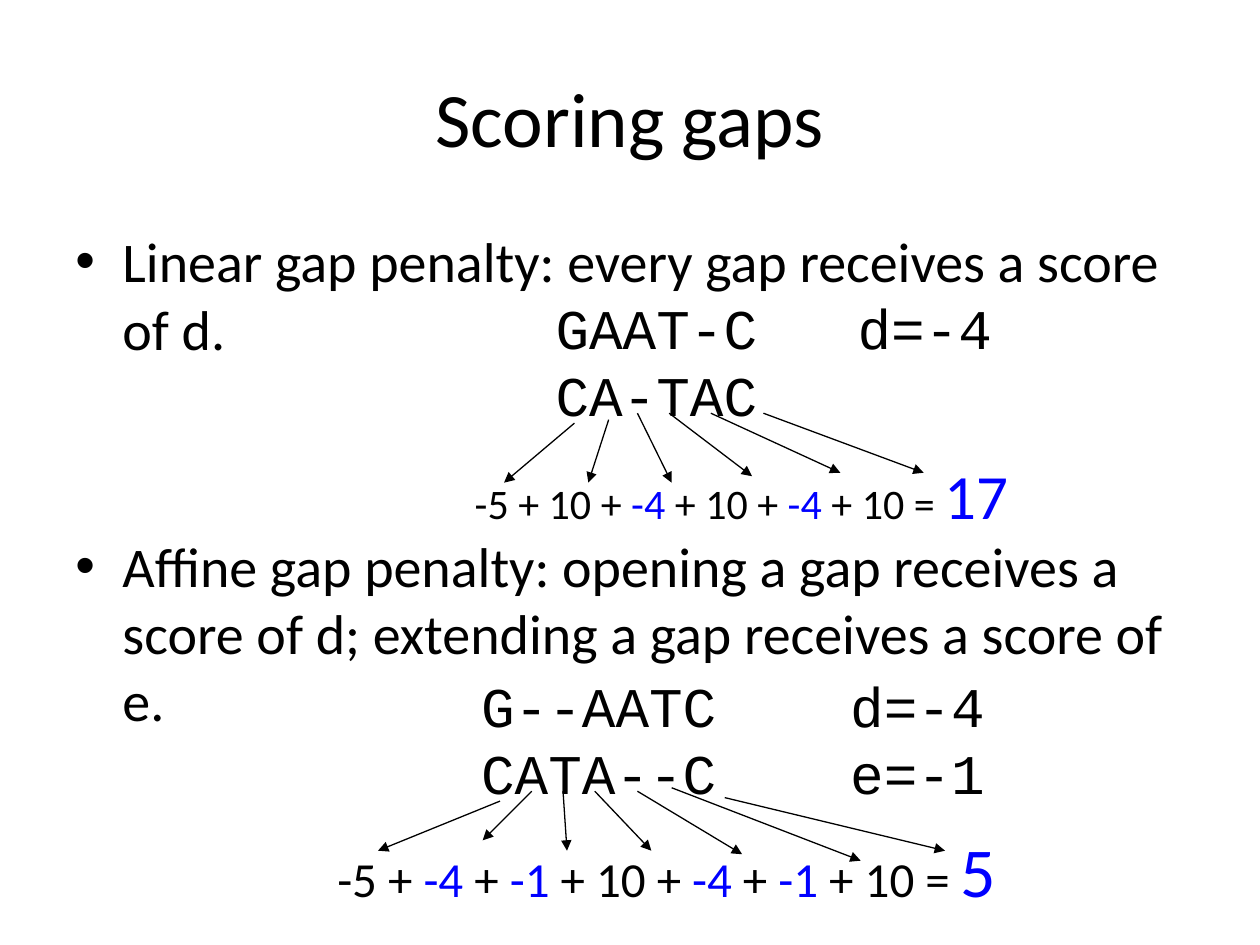
"""Builds a slide that scores alignments with linear and affine gap penalties."""
from lxml.etree import SubElement
from pptx import Presentation
from pptx.dml.color import RGBColor
from pptx.enum.shapes import MSO_CONNECTOR as Connector
from pptx.enum.text import MSO_ANCHOR as Anchor, PP_ALIGN as Align
from pptx.oxml.ns import qn
from pptx.util import Cm, Pt

COLORS = {"text": "000000", "highlight": "0000FF"}
BODY_FONT, SEQUENCE_FONT = "Calibri", "Courier New"
GAP_SCORES = ("-4", "-1")

BULLETS = (
    ("Linear gap penalty: every gap receives a score of d.", 0),
    ("Affine gap penalty: opening a gap receives a score of d; "
     "extending a gap receives a score of e.", 97),
)

EXAMPLES = (
    {
        "sequences": (10.95, 5.79, 5.5, ("GAAT-C", "CA-TAC")),
        "penalties": (17.04, 5.79, 3.5, ("d=-4",)),
        "sum": (9.32, 9.07, 12.78, 1.78),
        "scores": ("-5", "10", "-4", "10", "-4", "10"),
        "total": "17",
        "sizes": (24, 36),
        "arrows": (
            (11.58, 8.53, 10.16, 9.73),
            (12.27, 8.46, 11.86, 9.73),
            (12.85, 8.33, 13.54, 9.73),
            (13.49, 8.33, 15.16, 9.6),
            (14.33, 8.33, 16.94, 9.53),
            (15.39, 8.33, 18.62, 9.53),
        ),
    },
    {
        "sequences": (9.45, 13.41, 5.5, ("G--AATC", "CATA--C")),
        "penalties": (16.89, 13.41, 3.5, ("d=-4", "e=-1")),
        "sum": (6.55, 16.56, 15.77, 1.96),
        "scores": ("-5", "-4", "-1", "10", "-4", "-1", "10"),
        "total": "5",
        "sizes": (28, 40),
        "arrows": (
            (10.08, 16.15, 7.62, 17.15),
            (10.72, 15.95, 9.73, 16.94),
            (11.35, 15.95, 11.43, 17.15),
            (11.99, 15.95, 13.13, 17.15),
            (12.85, 15.95, 14.96, 17.22),
            (13.54, 15.88, 17.35, 17.35),
            (14.61, 16.08, 19.05, 17.15),
        ),
    },
)


def add_text_frame(slide, left, top, width, height):
    """Add a wrapping text box and return its text frame."""
    shape = slide.shapes.add_textbox(Cm(left), Cm(top), Cm(width), Cm(height))
    shape.text_frame.word_wrap = True
    return shape.text_frame


def format_font(font, size, name=BODY_FONT, color="text"):
    """Set the size, typeface and colour of a font."""
    font.size = Pt(size)
    font.name = name
    font.color.rgb = RGBColor.from_string(COLORS[color])


def add_title(slide, text):
    """Add the centred slide title."""
    frame = add_text_frame(slide, 1.27, 0.76, 22.86, 3.18)
    frame.text = text
    frame.vertical_anchor = Anchor.MIDDLE
    frame.paragraphs[0].alignment = Align.CENTER
    format_font(frame.paragraphs[0].runs[0].font, 44)


def add_bullets(slide, bullets):
    """Add the bulleted body, leaving room for an example between items."""
    frame = add_text_frame(slide, 1.27, 4.45, 22.86, 12.57)
    frame.text = "\n".join(text for text, _ in bullets)
    for paragraph, (_, space) in zip(frame.paragraphs, bullets):
        paragraph.space_before = Pt(space)
        format_font(paragraph.runs[0].font, 32)
        properties = paragraph._p.get_or_add_pPr()
        properties.set("marL", str(Cm(0.95)))
        properties.set("indent", str(-Cm(0.95)))
        SubElement(properties, qn("a:buFont"), typeface="Arial")
        SubElement(properties, qn("a:buChar"), char="•")


def add_code_lines(slide, left, top, width, lines):
    """Add lines of monospaced text."""
    frame = add_text_frame(slide, left, top, width, 2.97)
    frame.text = "\n".join(lines)
    for paragraph in frame.paragraphs:
        format_font(paragraph.runs[0].font, 32, SEQUENCE_FONT)


def add_sum(slide, place, scores, total, sizes):
    """Add the sum of column scores, with gap scores and total highlighted."""
    paragraph = add_text_frame(slide, *place).paragraphs[0]
    score_size, total_size = sizes

    def add_run(text, size, color):
        run = paragraph.add_run()
        run.text = text
        format_font(run.font, size, color=color)

    for index, score in enumerate(scores):
        if index:
            add_run(" + ", score_size, "text")
        add_run(score, score_size, "highlight" if score in GAP_SCORES else "text")
    add_run(" = ", score_size, "text")
    add_run(total, total_size, "highlight")


def add_arrow(slide, *ends):
    """Add a thin arrow from an alignment column to its score."""
    connector = slide.shapes.add_connector(Connector.STRAIGHT, *map(Cm, ends))
    connector.line.width = Pt(0.75)
    connector.line.color.rgb = RGBColor.from_string(COLORS["text"])
    SubElement(connector.line._get_or_add_ln(), qn("a:tailEnd"), type="triangle")
    SubElement(connector._element.spPr, qn("a:effectLst"))


def add_example(slide, example):
    """Add one scored alignment with its arrows."""
    add_code_lines(slide, *example["sequences"])
    add_code_lines(slide, *example["penalties"])
    add_sum(slide, example["sum"], example["scores"], example["total"], example["sizes"])
    for arrow in example["arrows"]:
        add_arrow(slide, *arrow)


def main():
    """Build and save the slide."""
    presentation = Presentation()
    presentation.slide_width, presentation.slide_height = Cm(25.4), Cm(19.05)
    slide = presentation.slides.add_slide(presentation.slide_layouts[6])
    add_title(slide, "Scoring gaps")
    add_bullets(slide, BULLETS)
    for example in EXAMPLES:
        add_example(slide, example)
    presentation.save("out.pptx")


if __name__ == "__main__":
    main()
